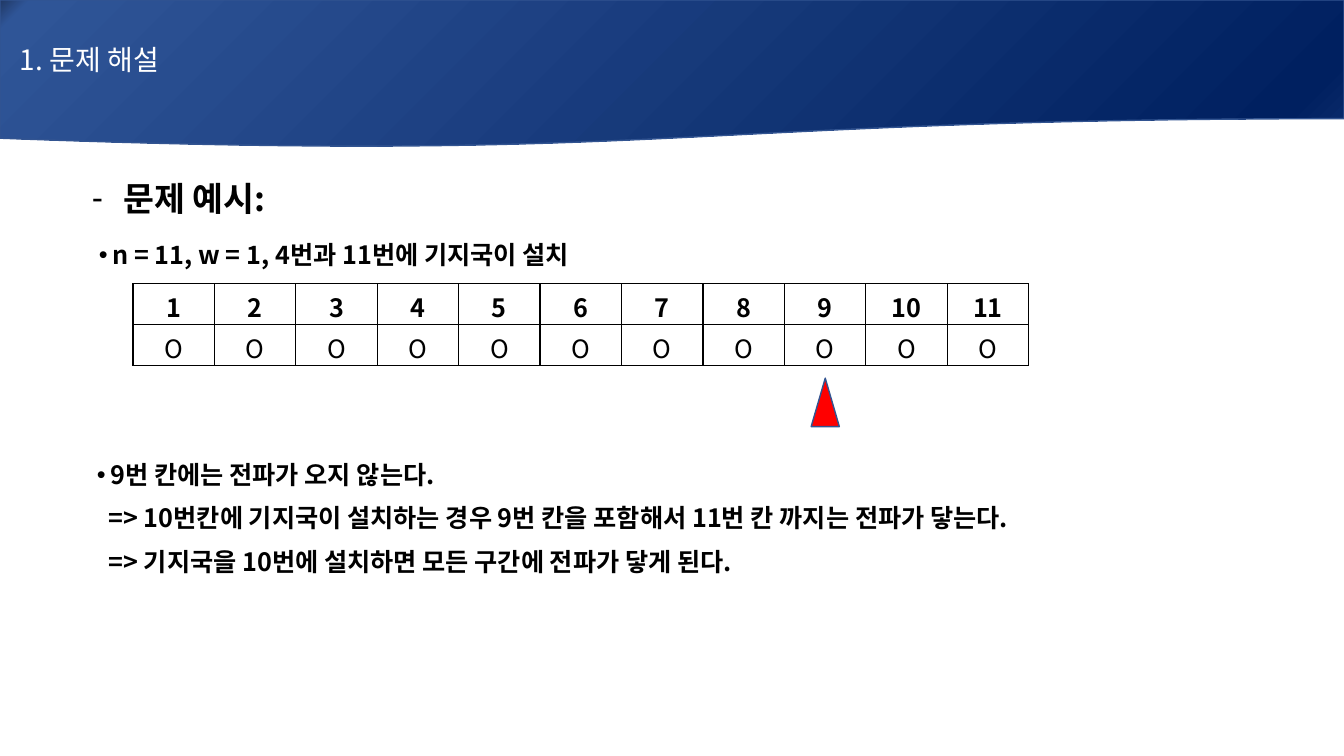
from lxml.etree import SubElement
from pptx import Presentation
from pptx.dml.color import RGBColor
from pptx.enum.shapes import MSO_SHAPE
from pptx.enum.text import MSO_ANCHOR, MSO_AUTO_SIZE, PP_ALIGN
from pptx.oxml.ns import qn
from pptx.util import Cm, Pt

FONT = "Noto Sans CJK KR"
BLACK = RGBColor(0x00, 0x00, 0x00)
WHITE = RGBColor(0xFF, 0xFF, 0xFF)
RED = RGBColor(0xFF, 0x00, 0x00)
OUTLINE = RGBColor(0x32, 0x54, 0x91)
BANNER_STOPS = [
    (0, RGBColor(0x20, 0x38, 0x64)),
    (2, RGBColor(0x2F, 0x55, 0x97)),
    (94, RGBColor(0x00, 0x20, 0x60)),
    (100, RGBColor(0x0D, 0x2E, 0x6F)),
]

PAGE_WIDTH, PAGE_HEIGHT = 33.87, 19.05
STATION_COUNT = 11
TABLE_LEFT, TABLE_TOP, TABLE_WIDTH, ROW_HEIGHT = 3.35, 7.15, 22.58, 1.03
MARKED_STATION = 9
MARKER_WIDTH = 0.71

# text, size, line height, space before, space after, bullet, left margin, first-line indent
BODY_LINES = [
    ("문제 예시:", 24, 31, 0, 14, "-", 0.79, -0.79),
    ("n = 11, w = 1, 4번과 11번에 기지국이 설치", 18, 23, 0, 8, "•", 0.52, -0.34),
    ("9번 칸에는 전파가 오지 않는다.", 18, 23, 126, 8, "•", 0.47, -0.34),
    ("=> 10번칸에 기지국이 설치하는 경우 9번 칸을 포함해서 11번 칸 까지는 전파가 닿는다.",
     18, 23, 0, 8, None, 0.42, 0),
    ("=> 기지국을 10번에 설치하면 모든 구간에 전파가 닿게 된다.",
     18, 23, 0, 8, None, 0.42, 0),
]


class SlideBuilder:
    """Holds the text style and the slide being filled."""

    def __init__(self, page, font):
        """Remember the slide and its typeface."""
        self.page = page
        self.font = font

    def style(self, paragraph, size, color, bold=False, align=PP_ALIGN.LEFT):
        """Set the look of a whole paragraph."""
        paragraph.alignment = align
        paragraph.font.size = Pt(size)
        paragraph.font.bold = bold
        paragraph.font.name = self.font
        paragraph.font.color.rgb = color
        properties = paragraph._p.pPr.find(qn("a:defRPr"))
        SubElement(properties, qn("a:ea"), typeface=self.font)

    def place(self, box, left, top, width, height):
        """Move a placeholder and stop it from resizing its text."""
        box.left, box.top, box.width, box.height = map(Cm, (left, top, width, height))
        box.text_frame.word_wrap = True
        box.text_frame.auto_size = MSO_AUTO_SIZE.NONE

    def title(self, text, left, top, width, height):
        """Fill the title placeholder."""
        box = self.page.shapes.title
        self.place(box, left, top, width, height)
        box.text_frame.margin_left = Cm(0)
        box.text_frame.vertical_anchor = MSO_ANCHOR.MIDDLE
        paragraph = box.text_frame.paragraphs[0]
        paragraph.text = text
        self.style(paragraph, 20, WHITE)

    def body(self, lines, left, top, width, height):
        """Fill the body placeholder with the explanation."""
        box = self.page.placeholders[1]
        self.place(box, left, top, width, height)
        frame = box.text_frame
        for index, (text, size, line, before, after, bullet, margin, indent) in enumerate(lines):
            paragraph = frame.add_paragraph() if index else frame.paragraphs[0]
            paragraph.text = text
            paragraph.line_spacing = Pt(line)
            paragraph.space_before = Pt(before)
            paragraph.space_after = Pt(after)
            self.style(paragraph, size, BLACK, True, PP_ALIGN.JUSTIFY)
            self.bullet(paragraph, bullet, margin, indent)

    def bullet(self, paragraph, character, margin, indent):
        """Give a paragraph its indents and its bullet, or none."""
        properties = paragraph._p.pPr
        properties.set("marL", str(Cm(margin)))
        properties.set("indent", str(Cm(indent)))
        mark = SubElement(properties, qn("a:buChar" if character else "a:buNone"))
        if character:
            mark.set("char", character)
        properties.find(qn("a:defRPr")).addprevious(mark)

    def shape(self, kind, left, top, width, height, color):
        """Add an outlined preset shape."""
        shape = self.page.shapes.add_shape(kind, *map(Cm, (left, top, width, height)))
        shape.shadow.inherit = False
        shape.fill.solid()
        shape.fill.fore_color.rgb = color
        shape.line.color.rgb = OUTLINE
        shape.line.width = Pt(1)
        return shape

    def banner(self, width, height, stops):
        """Add the wavy gradient banner behind everything else."""
        banner = self.shape(MSO_SHAPE.FLOWCHART_DOCUMENT, 0, 0, width, height, stops[0][1])
        banner.fill.gradient()
        gradient = banner._element.spPr.find(qn("a:gradFill"))
        gradient.find(qn("a:lin")).set("ang", str(45 * 60000))
        stop_list = gradient.find(qn("a:gsLst"))
        for stop in list(stop_list):
            stop_list.remove(stop)
        for percent, color in stops:
            stop = SubElement(stop_list, qn("a:gs"), pos=str(percent * 1000))
            SubElement(stop, qn("a:srgbClr"), val=str(color))
        self.page.shapes._spTree.insert(2, banner._element)

    def table(self, rows, left, top, width, row_height):
        """Add a bordered table with a bold first row."""
        columns = len(rows[0])
        frame = self.page.shapes.add_table(
            len(rows), columns, Cm(left), Cm(top), Cm(width), Cm(row_height * len(rows)))
        table = frame.table
        table.first_row = table.horz_banding = False
        for column in table.columns:
            column.width = Cm(width / columns)
        for row_index, values in enumerate(rows):
            table.rows[row_index].height = Cm(row_height)
            for column_index, value in enumerate(values):
                self.cell(table.cell(row_index, column_index), value, row_index == 0)

    def cell(self, cell, text, bold):
        """Write one centred cell with thin black borders."""
        cell.margin_top, cell.margin_bottom = Cm(0.1), Cm(0)
        cell.vertical_anchor = MSO_ANCHOR.MIDDLE
        paragraph = cell.text_frame.paragraphs[0]
        paragraph.text = text
        self.style(paragraph, 18, BLACK, bold, PP_ALIGN.CENTER)
        properties = cell._tc.get_or_add_tcPr()
        for side in ("lnL", "lnR", "lnT", "lnB"):
            border = SubElement(properties, qn(f"a:{side}"), w=str(Pt(1)))
            fill = SubElement(border, qn("a:solidFill"))
            SubElement(fill, qn("a:srgbClr"), val=str(BLACK))
        cell.fill.solid()
        cell.fill.fore_color.rgb = WHITE


def main():
    """Build the slide and save it."""
    deck = Presentation()
    deck.slide_width, deck.slide_height = Cm(PAGE_WIDTH), Cm(PAGE_HEIGHT)
    builder = SlideBuilder(deck.slides.add_slide(deck.slide_layouts[1]), FONT)

    builder.banner(PAGE_WIDTH, 3.73, BANNER_STOPS)
    builder.title("1. 문제 해설", 0.5, 0, 32, 3)
    builder.body(BODY_LINES, 2.06, 4.27, 30.91, 14.02)

    numbers = [str(number) for number in range(1, STATION_COUNT + 1)]
    builder.table([numbers, ["O"] * STATION_COUNT],
                  TABLE_LEFT, TABLE_TOP, TABLE_WIDTH, ROW_HEIGHT)
    marker_center = TABLE_LEFT + (MARKED_STATION - 0.5) * TABLE_WIDTH / STATION_COUNT
    builder.shape(MSO_SHAPE.ISOSCELES_TRIANGLE, marker_center - MARKER_WIDTH / 2, 9.53,
                  MARKER_WIDTH, 1.22, RED)

    deck.save("out.pptx")


main()
